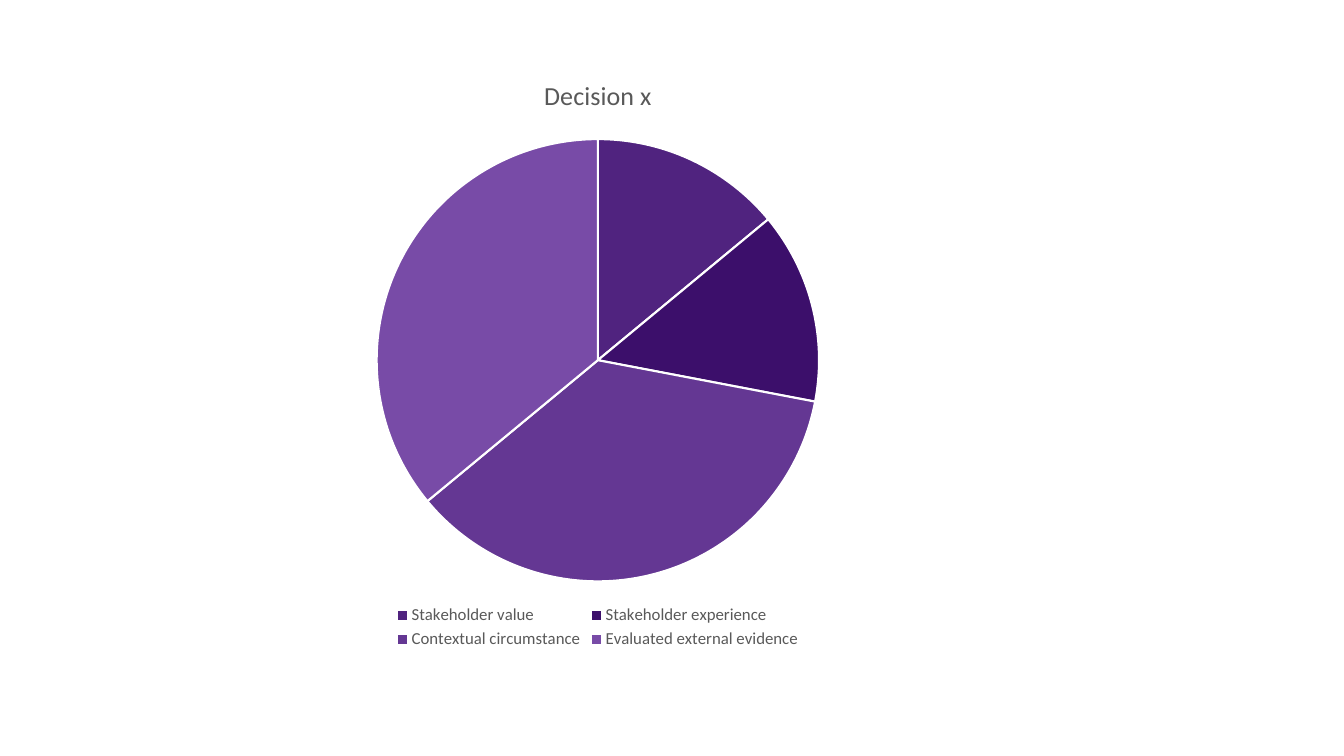
"""Build a slide with one pie chart of the inputs to a decision."""
from pptx import Presentation
from pptx import util as u
from pptx.chart.data import CategoryChartData
from pptx.dml.color import RGBColor
from pptx.enum import chart as kinds
from pptx.oxml import parse_xml
from pptx.oxml.ns import nsdecls, qn

TITLE = "Decision x"
SLICES = [
    ("Stakeholder value", 14, "value"),
    ("Stakeholder experience", 14, "experience"),
    ("Contextual circumstance", 36, "context"),
    ("Evaluated external evidence", 36, "evidence"),
]
COLOURS = {
    "value": "50237F",
    "experience": "3C0F6B",
    "context": "643793",
    "evidence": "784BA7",
    "text": "595959",
    "edge": "FFFFFF",
}
SLIDE = (13.33, 7.5)
CHART_BOX = (2.69, 0.55, 6.48, 5.93)
PIE_SHARE = {"x": 0.16, "y": 0.14, "w": 0.68, "h": 0.74}
TITLE_FONT = {"name": "Calibri", "size": u.Pt(18.6), "bold": False}
LEGEND_FONT = {"name": "Calibri", "size": u.Pt(12), "bold": False}


def colour(name):
    return RGBColor.from_string(COLOURS[name])


def style(font, formats):
    for key, setting in formats.items():
        setattr(font, key, setting)
    font.color.rgb = colour("text")


def place_pie(chart):
    plot_area = chart._chartSpace.chart.plotArea
    for layout in plot_area.findall(qn("c:layout")):
        plot_area.remove(layout)
    modes = "".join(f'<c:{side}Mode val="edge"/>' for side in "xy")
    shares = "".join(f'<c:{side} val="{share}"/>' for side, share in PIE_SHARE.items())
    plot_area.insert(0, parse_xml(
        f'<c:layout {nsdecls("c")}><c:manualLayout><c:layoutTarget val="inner"/>'
        f"{modes}{shares}</c:manualLayout></c:layout>"))


def add_pie(page):
    chart_data = CategoryChartData()
    chart_data.categories = [label for label, _, _ in SLICES]
    chart_data.add_series("Series 1", [share for _, share, _ in SLICES])
    chart = page.shapes.add_chart(
        kinds.XL_CHART_TYPE.PIE, *map(u.Inches, CHART_BOX), chart_data).chart
    chart.font.name = "Calibri"
    chart.font.size = u.Pt(10)
    chart.has_title = True
    title = chart.chart_title.text_frame
    title.text = TITLE
    style(title.paragraphs[0].runs[0].font, TITLE_FONT)
    chart.has_legend = True
    chart.legend.position = kinds.XL_LEGEND_POSITION.BOTTOM
    chart.legend.include_in_layout = False
    style(chart.legend.font, LEGEND_FONT)
    plot = chart.plots[0]
    plot.vary_by_categories = True
    for index, (_, _, name) in enumerate(SLICES):
        wedge = plot.series[0].points[index].format
        wedge.fill.solid()
        wedge.fill.fore_color.rgb = colour(name)
        wedge.line.color.rgb = colour("edge")
        wedge.line.width = u.Pt(1.5)
    place_pie(chart)


def main():
    deck = Presentation()
    deck.slide_width, deck.slide_height = map(u.Inches, SLIDE)
    add_pie(deck.slides.add_slide(deck.slide_layouts[6]))
    deck.save("out.pptx")


if __name__ == "__main__":
    main()
